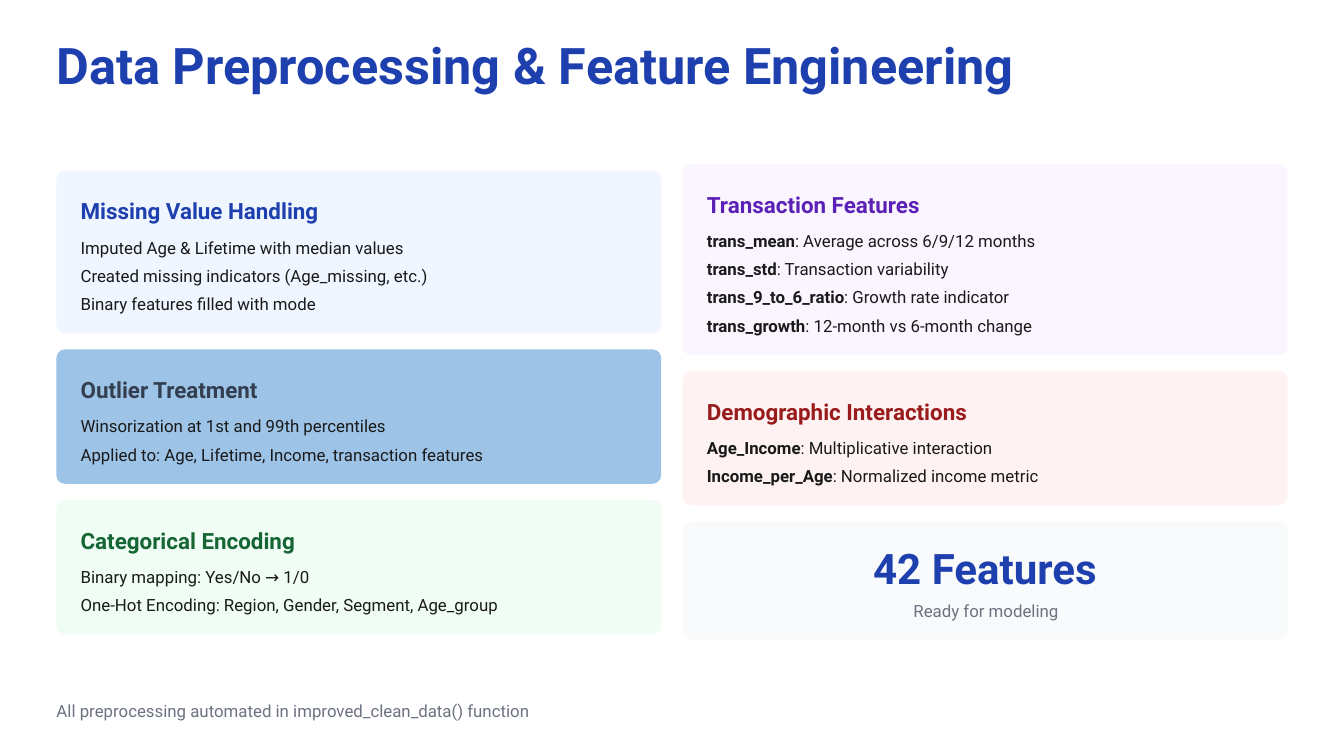
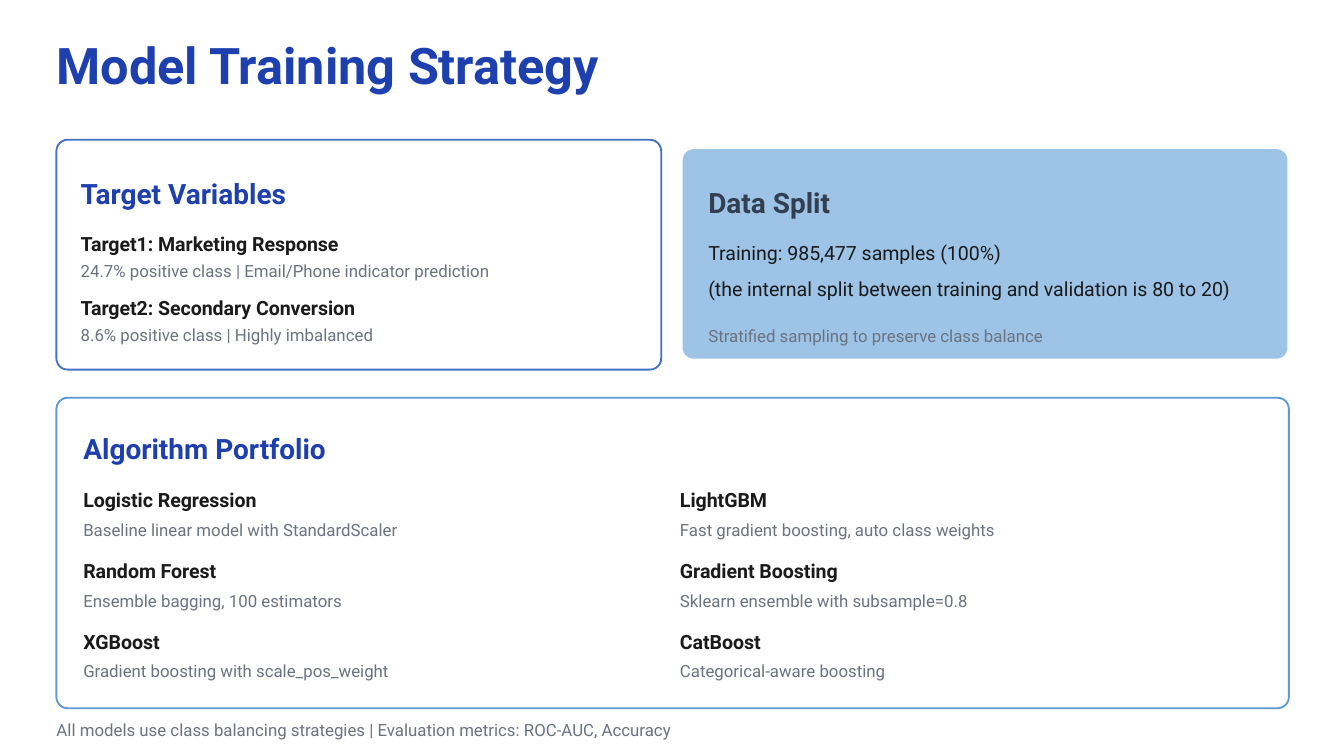
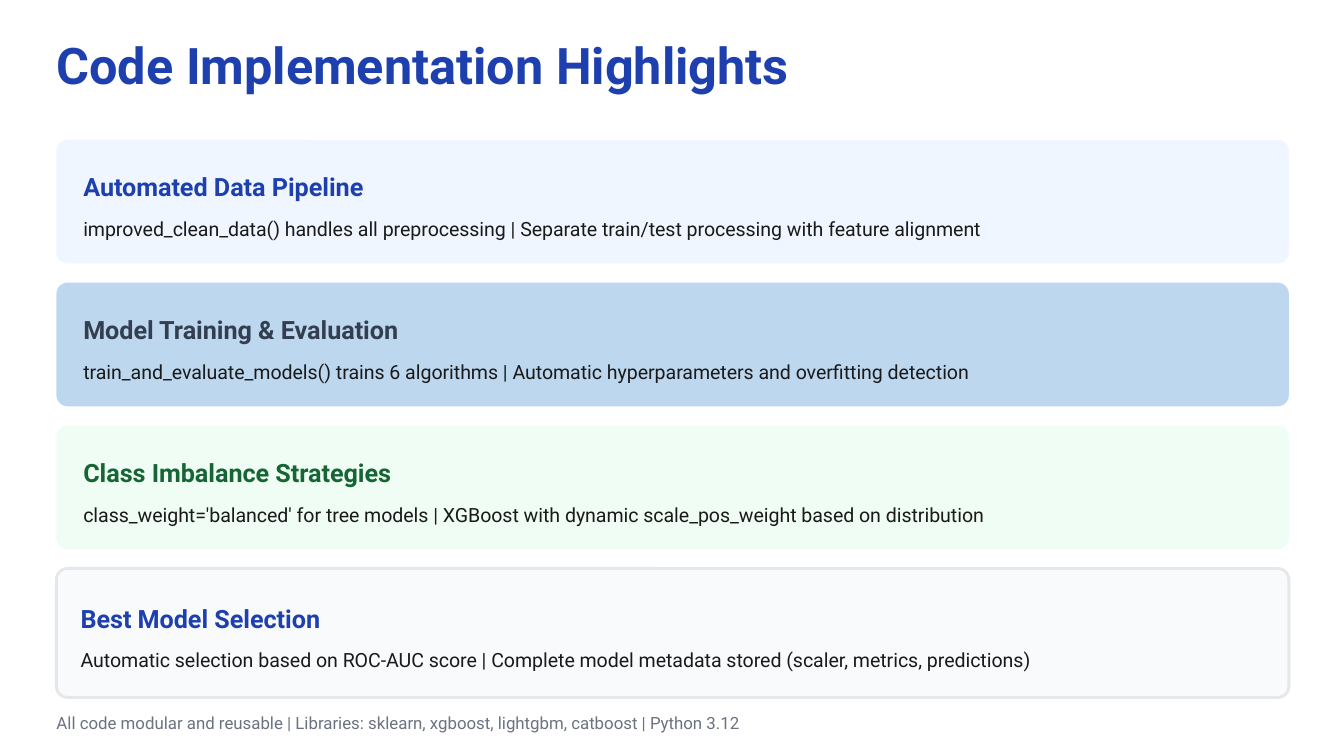
from dataclasses import dataclass

from pptx import Presentation
from pptx.dml.color import RGBColor
from pptx.enum.shapes import MSO_SHAPE as Preset
from pptx.enum.text import MSO_ANCHOR as Anchor, MSO_AUTO_SIZE as AutoSize, PP_ALIGN as Align
from pptx.util import Inches, Pt


@dataclass(frozen=True)
class TextStyle:
    size: float
    leading: float
    color: str
    bold: bool = False


class Theme:
    font = "Roboto"
    blue, slate, green, purple, red = "1E40AF", "333F50", "166534", "5B21B6", "991B1B"
    ink, muted, white = "1A1A1A", "6B7280", "FFFFFF"
    pale_blue, pale_green, pale_purple = "EFF6FF", "F0FDF4", "FAF5FF"
    pale_red, pale_gray = "FEF2F2", "F9FAFB"
    sky, light_sky = "9DC3E6", "BDD7EE"
    royal_line, sky_line, gray_line = "4472C4", "5B9BD5", "E5E7EB"

    title = TextStyle(27, 30, blue, True)
    figure = TextStyle(22.5, 27, blue, True)
    section = TextStyle(15, 21, blue, True)
    highlight = TextStyle(13.5, 21, blue, True)
    topic = TextStyle(12, 18, blue, True)
    name = TextStyle(10.5, 15, ink, True)
    body = TextStyle(10.5, 15, ink)
    item = TextStyle(9, 12, ink)
    note = TextStyle(9, 12, muted)

    small_corner, large_corner = Pt(4.5), Pt(6)


LEFT, RIGHT = 0.42, 5.08
HALF, FULL = 4.5, 9.17


class Deck:
    def __init__(self, theme):
        self.theme = theme
        self.presentation = Presentation()
        self.presentation.slide_width = Inches(10)
        self.presentation.slide_height = Inches(10) * 9 // 16
        self.slide = None

    def start_slide(self, title, title_width):
        self.slide = self.presentation.slides.add_slide(self.presentation.slide_layouts[5])
        self._write(self.slide.shapes.title, [title], LEFT, 0.29, title_width, self.theme.title)

    def text(self, content, left, top, width, style, color=None, align=Align.LEFT):
        """Place one line; a (term, rest) pair gets a bold term."""
        parts = [content] if isinstance(content, str) else content
        box = self.slide.shapes.add_textbox(0, 0, 0, 0)
        self._write(box, parts, left, top, width, style, color, align)

    def _write(self, box, parts, left, top, width, style, color=None, align=Align.LEFT):
        box.left, box.top, box.width = Inches(left), Inches(top), Inches(width)
        box.height = Pt(style.leading)
        frame = box.text_frame
        frame.word_wrap = True
        frame.auto_size = AutoSize.NONE
        frame.vertical_anchor = Anchor.TOP
        frame.margin_left = frame.margin_right = frame.margin_top = frame.margin_bottom = 0
        line = frame.paragraphs[0]
        line.text = parts[0]
        for part in parts[1:]:
            line.add_run().text = part
        line.alignment = align
        line.line_spacing = Pt(style.leading)
        for position, run in enumerate(line.runs):
            run.font.name = self.theme.font
            run.font.size = Pt(style.size)
            run.font.bold = style.bold or (len(parts) > 1 and position == 0)
            run.font.color.rgb = RGBColor.from_string(color or style.color)

    def card(self, left, top, width, height, fill, corner, outline=None, outline_width=1):
        panel = self.slide.shapes.add_shape(
            Preset.ROUNDED_RECTANGLE, Inches(left), Inches(top), Inches(width), Inches(height))
        panel.shadow.inherit = False
        panel.adjustments[0] = corner / Inches(height)
        panel.fill.solid()
        panel.fill.fore_color.rgb = RGBColor.from_string(fill)
        if outline:
            panel.line.color.rgb = RGBColor.from_string(outline)
            panel.line.width = Pt(outline_width)
        else:
            panel.line.fill.background()

    def topic_card(self, left, top, fill, color, topic, items):
        """Draw a card as tall as its items need and return its height."""
        step = 0.21
        height = 0.58 + step * len(items)
        self.card(left, top, HALF, height, fill, self.theme.small_corner)
        self.text(topic, left + 0.18, top + 0.15, 4.26, self.theme.topic, color)
        for row, item in enumerate(items):
            self.text(item, left + 0.18, top + 0.48 + step * row, 4.26, self.theme.item)
        return height

    def topic_column(self, left, top, topics):
        """Stack topic cards and return the top of the next free place."""
        for topic in topics:
            top += self.topic_card(left, top, *topic) + 0.12
        return top

    def named_note(self, name, note, left, top, width, drop):
        self.text(name, left, top, width, self.theme.name)
        self.text(note, left, top + drop, width, self.theme.note)

    def footer(self, content, top):
        self.text(content, LEFT, top, 9.35, self.theme.note)


def preprocessing_slide(deck):
    theme = deck.theme
    deck.start_slide("Data Preprocessing & Feature Engineering", 7.79)
    deck.topic_column(LEFT, 1.27, [
        (theme.pale_blue, theme.blue, "Missing Value Handling", [
            "Imputed Age & Lifetime with median values",
            "Created missing indicators (Age_missing, etc.)",
            "Binary features filled with mode"]),
        (theme.sky, theme.slate, "Outlier Treatment", [
            "Winsorization at 1st and 99th percentiles",
            "Applied to: Age, Lifetime, Income, transaction features"]),
        (theme.pale_green, theme.green, "Categorical Encoding", [
            "Binary mapping: Yes/No → 1/0",
            "One-Hot Encoding: Region, Gender, Segment, Age_group"]),
    ])
    summary_top = deck.topic_column(RIGHT, 1.22, [
        (theme.pale_purple, theme.purple, "Transaction Features", [
            ("trans_mean", ": Average across 6/9/12 months"),
            ("trans_std", ": Transaction variability"),
            ("trans_9_to_6_ratio", ": Growth rate indicator"),
            ("trans_growth", ": 12-month vs 6-month change")]),
        (theme.pale_red, theme.red, "Demographic Interactions", [
            ("Age_Income", ": Multiplicative interaction"),
            ("Income_per_Age", ": Normalized income metric")]),
    ])
    deck.card(RIGHT, summary_top, HALF, 0.88, theme.pale_gray, theme.small_corner)
    deck.text("42 Features", 6.25, summary_top + 0.16, 2.16, theme.figure, align=Align.CENTER)
    deck.text("Ready for modeling", 5.19, summary_top + 0.57, 4.29, theme.note,
              align=Align.CENTER)
    deck.footer("All preprocessing automated in improved_clean_data() function", 5.2)


def training_slide(deck):
    theme = deck.theme
    deck.start_slide("Model Training Strategy", 4.69)

    deck.card(LEFT, 1.04, HALF, 1.71, theme.white, theme.large_corner, theme.royal_line)
    deck.text("Target Variables", 0.6, 1.27, 2.11, theme.section)
    targets = [
        ("Target1: Marketing Response", "24.7% positive class | Email/Phone indicator prediction"),
        ("Target2: Secondary Conversion", "8.6% positive class | Highly imbalanced"),
    ]
    for row, (target, balance) in enumerate(targets):
        deck.named_note(target, balance, 0.6, 1.69 + 0.48 * row, 4.21, 0.23)

    deck.card(RIGHT, 1.11, HALF, 1.56, theme.sky, theme.large_corner)
    deck.text("Data Split", 5.27, 1.34, 2.11, theme.section, theme.slate)
    split_lines = [
        ("Training: 985,477 samples (100%)", 1.76, theme.body),
        ("(the internal split between training and validation is 80 to 20)", 2.03, theme.body),
        ("Stratified sampling to preserve class balance", 2.41, theme.note),
    ]
    for content, top, style in split_lines:
        deck.text(content, 5.27, top, 4.21, style)

    deck.card(LEFT, 2.96, FULL, 2.31, theme.white, theme.large_corner, theme.sky_line)
    deck.text("Algorithm Portfolio", 0.62, 3.17, 4.47, theme.section)
    algorithms = [
        ("Logistic Regression", "Baseline linear model with StandardScaler"),
        ("Random Forest", "Ensemble bagging, 100 estimators"),
        ("XGBoost", "Gradient boosting with scale_pos_weight"),
        ("LightGBM", "Fast gradient boosting, auto class weights"),
        ("Gradient Boosting", "Sklearn ensemble with subsample=0.8"),
        ("CatBoost", "Categorical-aware boosting"),
    ]
    for index, (algorithm, approach) in enumerate(algorithms):
        column, row = divmod(index, 3)
        deck.named_note(algorithm, approach, 0.62 + 4.44 * column, 3.6 + 1.05 * row / 2, 4.4, 0.25)
    deck.footer("All models use class balancing strategies | "
                "Evaluation metrics: ROC-AUC, Accuracy", 5.34)


def code_slide(deck):
    theme = deck.theme
    deck.start_slide("Code Implementation Highlights", 5.87)
    highlights = [
        (theme.pale_blue, theme.blue, None, "Automated Data Pipeline",
         "improved_clean_data() handles all preprocessing | "
         "Separate train/test processing with feature alignment"),
        (theme.light_sky, theme.slate, None, "Model Training & Evaluation",
         "train_and_evaluate_models() trains 6 algorithms | "
         "Automatic hyperparameters and overfitting detection"),
        (theme.pale_green, theme.green, None, "Class Imbalance Strategies",
         "class_weight='balanced' for tree models | "
         "XGBoost with dynamic scale_pos_weight based on distribution"),
        (theme.pale_gray, theme.blue, theme.gray_line, "Best Model Selection",
         "Automatic selection based on ROC-AUC score | "
         "Complete model metadata stored (scaler, metrics, predictions)"),
    ]
    for row, (fill, color, outline, highlight, detail) in enumerate(highlights):
        top = 1.04 + 3.19 * row / 3
        height, indent, drop = (0.96, 0.18, 0.19) if outline else (0.92, 0.2, 0.17)
        deck.card(LEFT, top, FULL, height, fill, theme.large_corner, outline, 1.5)
        deck.text(highlight, LEFT + indent, top + drop, 8.97, theme.highlight, color)
        deck.text(detail, LEFT + indent, top + drop + 0.37, 8.97, theme.body)
    deck.footer("All code modular and reusable | "
                "Libraries: sklearn, xgboost, lightgbm, catboost | Python 3.12", 5.29)


def main():
    deck = Deck(Theme())
    preprocessing_slide(deck)
    training_slide(deck)
    code_slide(deck)
    deck.presentation.save("out.pptx")


if __name__ == "__main__":
    main()
